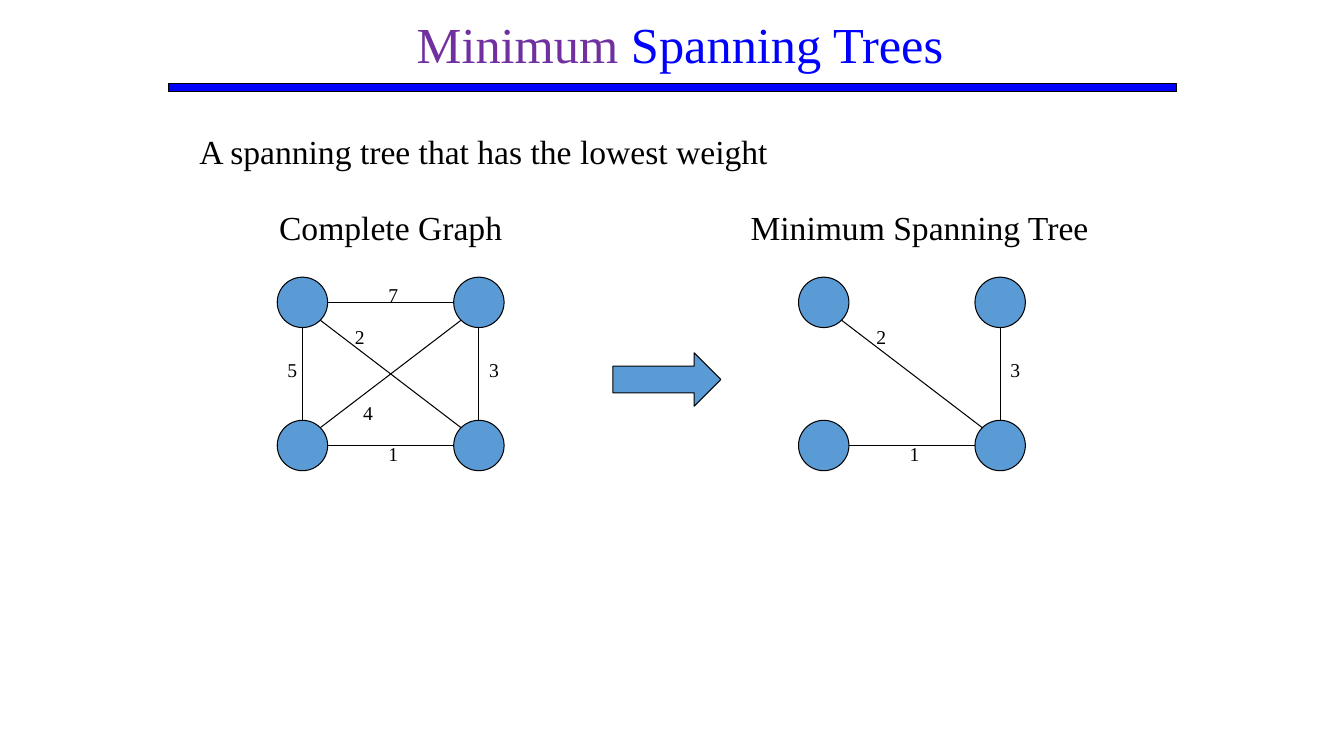
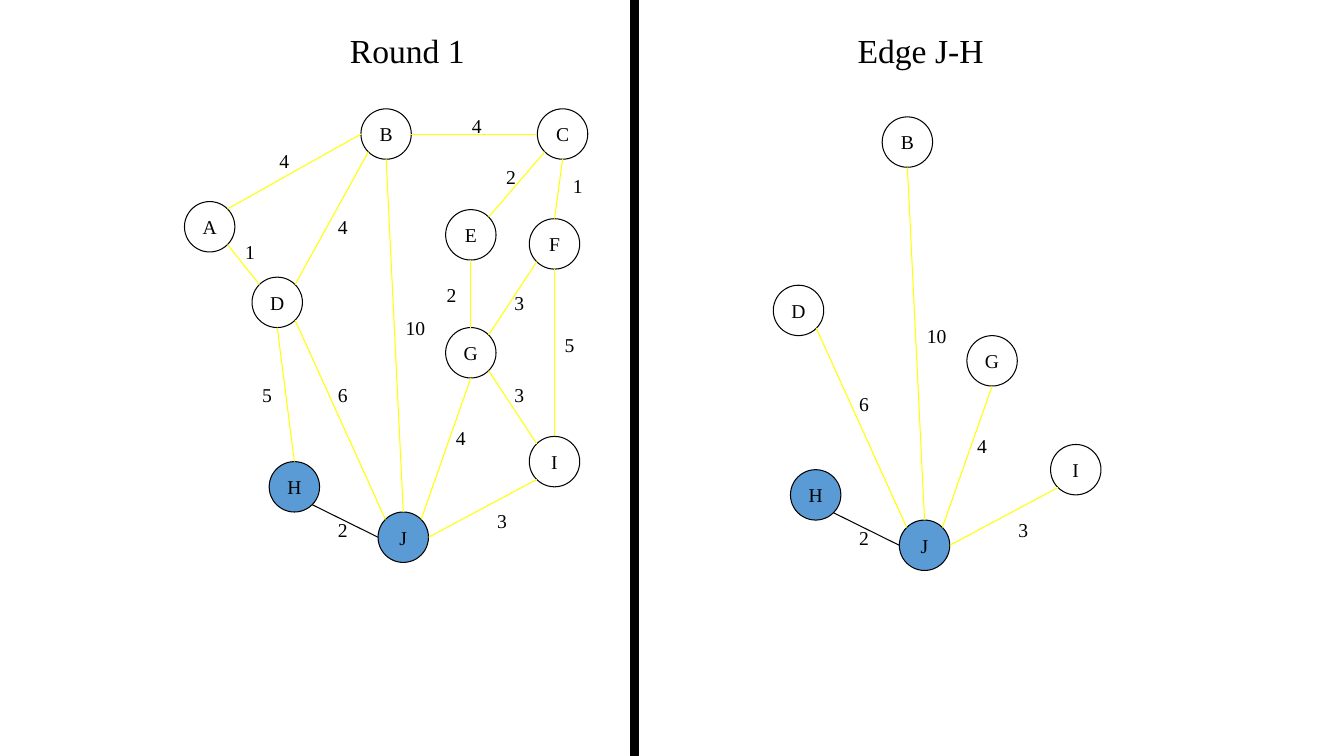
import pptx
import pptx.dml.color
import pptx.enum.shapes
import pptx.enum.text
import pptx.oxml.xmlchemy
import pptx.util
from lxml import etree
from pptx.oxml import ns

Inches = pptx.util.Inches
Shape = pptx.enum.shapes.MSO_SHAPE
Align = pptx.enum.text.PP_ALIGN

FONT = "Times New Roman"
BLACK, BLUE, PURPLE = "000000", "0000FF", "7030A0"
NODE_BLUE, YELLOW = "5B9BD5", "FFFF00"
NODE = 0.5
DIAGONAL = NODE / 2 * 0.5 ** 0.5
SITES = {
    "N": (0, -NODE / 2), "S": (0, NODE / 2), "W": (-NODE / 2, 0), "E": (NODE / 2, 0),
    "NW": (-DIAGONAL, -DIAGONAL), "NE": (DIAGONAL, -DIAGONAL),
    "SW": (-DIAGONAL, DIAGONAL), "SE": (DIAGONAL, DIAGONAL),
}
PAIR_OFFSET = 5.17

SQUARE_NODES = {"A": (0, 0), "B": (1.75, 0), "C": (0, 1.42), "D": (1.75, 1.42)}
SQUARE_EDGES = [
    ("A", "E", "B", "W", "7", (1.15, 0.17)),
    ("A", "S", "C", "N", "5", (0.15, 0.92)),
    ("C", "E", "D", "W", "1", (1.15, 1.75)),
    ("B", "S", "D", "N", "3", (2.15, 0.92)),
    ("B", "SW", "C", "NE", "4", (0.9, 1.34)),
    ("A", "SE", "D", "NW", "2", (0.82, 0.59)),
]
SQUARE_TREE = {"AD", "BD", "CD"}

ROUND_NODES = {
    "A": (0, 0.92), "B": (1.75, 0), "C": (3.5, 0), "D": (0.67, 1.67), "E": (2.59, 1),
    "F": (3.42, 1.09), "G": (2.59, 2.17), "H": (0.84, 3.5), "I": (3.42, 3.25), "J": (1.92, 4),
}
ROUND_EDGES = [
    ("A", "NE", "B", "W", "4", (0.99, 0.51)),
    ("A", "SE", "D", "NW", "1", (0.65, 1.42)),
    ("B", "E", "C", "W", "4", (2.9, 0.17)),
    ("B", "SW", "D", "NE", "4", (1.57, 1.17)),
    ("B", "S", "J", "N", "10", (2.29, 2.17)),
    ("C", "SW", "E", "NE", "2", (3.24, 0.67)),
    ("C", "S", "F", "N", "1", (3.9, 0.76)),
    ("D", "S", "H", "N", "5", (0.82, 2.84)),
    ("D", "SE", "J", "NW", "6", (1.57, 2.84)),
    ("E", "S", "G", "N", "2", (2.65, 1.84)),
    ("F", "SW", "G", "NE", "3", (3.32, 1.92)),
    ("F", "S", "I", "N", "5", (3.82, 2.34)),
    ("G", "SE", "I", "NW", "3", (3.32, 2.84)),
    ("G", "S", "J", "NE", "4", (2.74, 3.26)),
    ("H", "SE", "J", "W", "2", (1.57, 4.17)),
    ("I", "SW", "J", "E", "3", (3.15, 4.09)),
]
ROUND_CHOSEN = {"HJ"}


def color(value):
    """Turn a hex string into a colour."""
    return pptx.dml.color.RGBColor.from_string(value)


def box(left, top, width, height):
    """Convert a box given in inches."""
    return tuple(Inches(length) for length in (left, top, width, height))


def write(holder, *runs, size=24, align=Align.CENTER, wrap=False, centred=False):
    """Write (text, colour) runs or plain strings into a shape or text box."""
    frame = holder.text_frame
    frame.word_wrap = wrap
    if centred:
        frame.margin_left = frame.margin_right = frame.margin_top = frame.margin_bottom = 0
        frame.vertical_anchor = pptx.enum.text.MSO_ANCHOR.MIDDLE
    paragraph = frame.paragraphs[0]
    paragraph.alignment = align
    for item in runs:
        words, shade = (item, BLACK) if isinstance(item, str) else item
        run = paragraph.add_run()
        run.text = words
        run.font.name = FONT
        run.font.size = pptx.util.Pt(size)
        run.font.color.rgb = color(shade)


def text(slide, place, *runs, **style):
    """Add a text box."""
    write(slide.shapes.add_textbox(*box(*place)), *runs, **style)


def outlined(slide, kind, place, fill=None):
    """Add a preset shape with a thin black outline."""
    shape = slide.shapes.add_shape(kind, *box(*place))
    shape.shadow.inherit = False
    shape.line.color.rgb = color(BLACK)
    shape.line.width = pptx.util.Pt(0.75)
    if fill:
        shape.fill.solid()
        shape.fill.fore_color.rgb = color(fill)
    else:
        shape.fill.background()
    return shape


def segment(slide, start, end, shade):
    """Draw a thin straight line between two points."""
    line = slide.shapes.add_connector(
        pptx.enum.shapes.MSO_CONNECTOR.STRAIGHT, *(Inches(v) for v in (*start, *end)))
    line.line.color.rgb = color(shade)
    line.line.width = pptx.util.Pt(0.75)
    etree.SubElement(line._element.spPr, ns.qn("a:effectLst"))


def graph(slide, left, top, nodes, edges, filled, chosen=None, named=True):
    """Draw a weighted graph; edges outside chosen, if given, are yellow."""
    def site(name, side):
        """Find a point on the rim of a node."""
        x, y = nodes[name]
        dx, dy = SITES[side]
        return left + x + NODE / 2 + dx, top + y + NODE / 2 + dy

    used = {name for edge in edges for name in (edge[0], edge[2])}
    for name in sorted(used):
        x, y = nodes[name]
        node = outlined(slide, Shape.OVAL, (left + x, top + y, NODE, NODE),
                        NODE_BLUE if name in filled else None)
        if named:
            write(node, name, size=14, centred=True)
    for first, first_side, second, second_side, weight, (x, y) in edges:
        shade = BLACK if chosen is None or first + second in chosen else YELLOW
        segment(slide, site(first, first_side), site(second, second_side), shade)
        text(slide, (left + x - 0.2, top + y - 0.17, 0.4, 0.34), weight, size=14, centred=True)


def title_band(slide, left, top, width):
    """Place the two-coloured title above its blue bar."""
    text(slide, (left, top, width, 0.71), ("Minimum ", PURPLE), ("Spanning Trees", BLUE),
         size=36, wrap=True)
    outlined(slide, Shape.RECTANGLE, (1.67, top + 0.75, 10, 0.08), BLUE)


def definition_slide(slide):
    """Show a complete graph beside its minimum spanning tree."""
    title_band(slide, 3.83, 0.08, 5.83)
    text(slide, (1.88, 1.25, 9.78, 0.5), "A spanning tree that has the lowest weight",
         align=Align.LEFT, wrap=True)
    tree = [edge for edge in SQUARE_EDGES if edge[0] + edge[2] in SQUARE_TREE]
    panels = [("Complete Graph", 2.66, 2.43, SQUARE_EDGES),
              ("Minimum Spanning Tree", 7.33, 3.58, tree)]
    for index, (heading, left, width, edges) in enumerate(panels):
        text(slide, (left, 2, width, 0.5), heading)
        graph(slide, 2.75 + index * PAIR_OFFSET, 2.75, SQUARE_NODES, edges,
              SQUARE_NODES, named=False)
    outlined(slide, Shape.RIGHT_ARROW, (6.08, 3.5, 1.07, 0.53), NODE_BLUE)


def round_slide(slide):
    """Show the whole graph beside the edges that meet at J."""
    at_j = [edge for edge in ROUND_EDGES if edge[2] == "J"]
    panels = [("Round 1", 2.58, 1.08, ROUND_EDGES), ("Edge J-H", 7.67, 1.16, at_j)]
    for index, (heading, left, top, edges) in enumerate(panels):
        text(slide, (left, 0.25, 2.92, 0.5), heading, wrap=True)
        graph(slide, 1.83 + index * PAIR_OFFSET, top, ROUND_NODES, edges, "HJ", ROUND_CHOSEN)
    outlined(slide, Shape.RECTANGLE, (6.25, 0, 0.08, 7.5), BLACK)


def main():
    """Build and save the presentation."""
    deck = pptx.Presentation()
    deck.slide_width, deck.slide_height = Inches(13.33), Inches(7.5)
    for build in (definition_slide, round_slide):
        build(deck.slides.add_slide(deck.slide_layouts[6]))
    deck.save("out.pptx")


if __name__ == "__main__":
    main()
